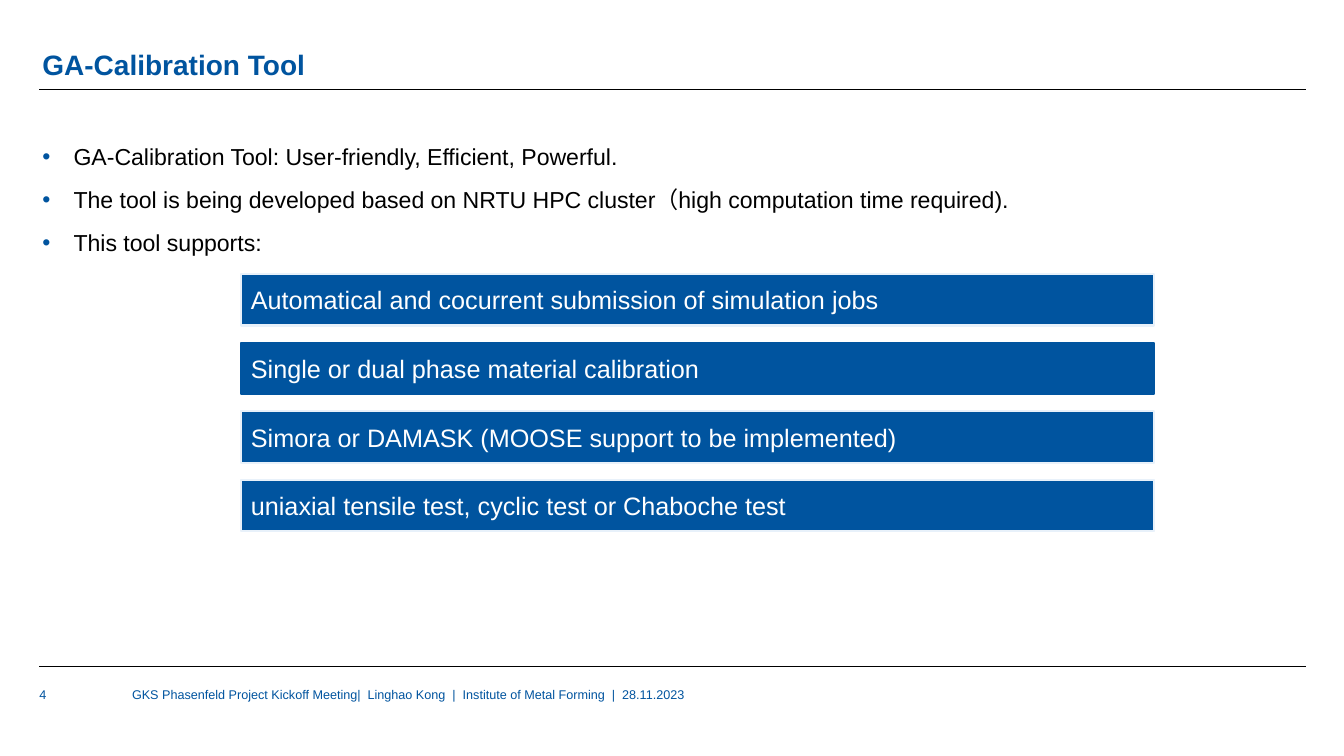
from lxml import etree
from pptx import Presentation
from pptx.dml.color import RGBColor
from pptx.enum.shapes import MSO_CONNECTOR, MSO_SHAPE
from pptx.enum.text import MSO_ANCHOR, MSO_AUTO_SIZE, PP_ALIGN
from pptx.oxml.ns import qn
from pptx.util import Emu, Pt

RECTANGLE = MSO_SHAPE.RECTANGLE
STRAIGHT = MSO_CONNECTOR.STRAIGHT
TOP, MIDDLE, BOTTOM = MSO_ANCHOR.TOP, MSO_ANCHOR.MIDDLE, MSO_ANCHOR.BOTTOM
LEFT = PP_ALIGN.LEFT
NO_AUTOFIT = MSO_AUTO_SIZE.NONE

EMU_PER_PX = 9144  # 100 px to the inch
FONT = "Arial"
COLORS = {"blue": "00549F", "pale": "E8F1FA", "black": "000000", "white": "FFFFFF"}

TITLE = "GA-Calibration Tool"
BULLETS = [
    "GA-Calibration Tool: User-friendly, Efficient, Powerful.",
    "The tool is being developed based on NRTU HPC cluster（high computation time required).",
    "This tool supports:",
]
FEATURES = [
    ("Automatical and cocurrent submission of simulation jobs", "pale"),
    ("Single or dual phase material calibration", "blue"),
    ("Simora or DAMASK (MOOSE support to be implemented)", "pale"),
    ("uniaxial tensile test, cyclic test or Chaboche test", "pale"),
]
FOOTER = "GKS Phasenfeld Project Kickoff Meeting|  Linghao Kong  |  Institute of Metal Forming  |  28.11.2023"
PAGE_NUMBER = "4"


def px(value):
    return Emu(value * EMU_PER_PX)


def color(name):
    return RGBColor.from_string(COLORS[name])


def place(shape, box):
    shape.left, shape.top, shape.width, shape.height = map(px, box)


def format_text(shape, size, color_name, bold=False, anchor=TOP, inset=0):
    text_frame = shape.text_frame
    text_frame.word_wrap = True
    text_frame.auto_size = NO_AUTOFIT
    text_frame.vertical_anchor = anchor
    text_frame.margin_left = text_frame.margin_right = px(inset)
    text_frame.margin_top = text_frame.margin_bottom = px(inset // 2)
    for paragraph in text_frame.paragraphs:
        paragraph.alignment = LEFT
        for run in paragraph.runs:
            run.font.name = FONT
            run.font.size = Pt(size)
            run.font.bold = bold
            run.font.color.rgb = color(color_name)


def add_bullet(paragraph, indent):
    properties = paragraph._p.get_or_add_pPr()
    properties.set("marL", str(px(indent)))
    properties.set("indent", str(-px(indent)))
    bullet_color = etree.SubElement(properties, qn("a:buClr"))
    etree.SubElement(bullet_color, qn("a:srgbClr"), val=COLORS["blue"])
    etree.SubElement(properties, qn("a:buFont"), typeface=FONT)
    etree.SubElement(properties, qn("a:buChar"), char="•")


def add_rule(slide, left, top, width):
    rule = slide.shapes.add_connector(STRAIGHT, px(left), px(top), px(left + width), px(top))
    rule.line.color.rgb = color("black")
    rule.line.width = Pt(0.5)
    etree.SubElement(rule._element.spPr, qn("a:effectLst"))


def add_header(slide, left, top, width, height):
    title = slide.shapes.title
    place(title, (left + 3, top, width - 7, height - 8))
    title.text_frame.text = TITLE
    title.text_frame.paragraphs[0].line_spacing = 0.9
    format_text(title, 20, "blue", bold=True, anchor=BOTTOM)
    add_rule(slide, left, top + height, width)


def add_bullets(slide, *box):
    body = slide.placeholders[1]
    place(body, box)
    body.text_frame.text = "\n".join(BULLETS)
    format_text(body, 16.5, "black")
    for paragraph in body.text_frame.paragraphs:
        paragraph.line_spacing = 1.5
        paragraph.space_before = Pt(1)
        add_bullet(paragraph, 31)


def add_features(slide, left, top, width, height):
    bar_height = 51
    pitch = (height - bar_height) // (len(FEATURES) - 1)
    group = slide.shapes.add_group_shape()
    for index, (text, line_color) in enumerate(FEATURES):
        bar = group.shapes.add_shape(
            RECTANGLE, px(left), px(top + index * pitch), px(width), px(bar_height))
        bar.shadow.inherit = False
        bar.fill.solid()
        bar.fill.fore_color.rgb = color("blue")
        bar.line.color.rgb = color(line_color)
        bar.line.width = Pt(1.5)
        bar.text_frame.text = text
        format_text(bar, 18, "white", anchor=MIDDLE, inset=10)


def add_footer(slide, left, top, width, height):
    add_rule(slide, left, top, width)
    for text, offset, text_width in ((PAGE_NUMBER, 0, 80), (FOOTER, 92, 766)):
        text_box = slide.shapes.add_textbox(
            px(left + offset), px(top + 20), px(text_width), px(height - 20))
        text_box.text_frame.text = text
        format_text(text_box, 9, "blue")


def main():
    presentation = Presentation()
    presentation.slide_width, presentation.slide_height = px(1333), px(750)
    slide = presentation.slides.add_slide(presentation.slide_layouts[1])
    # Title with its rule
    add_header(slide, 39, 22, 1256, 67)
    # Introductory list
    add_bullets(slide, 42, 128, 1249, 119)
    # Supported features
    add_features(slide, 239, 272, 906, 255)
    # Page number and meeting details
    add_footer(slide, 39, 661, 1256, 63)
    presentation.save("out.pptx")


if __name__ == "__main__":
    main()
